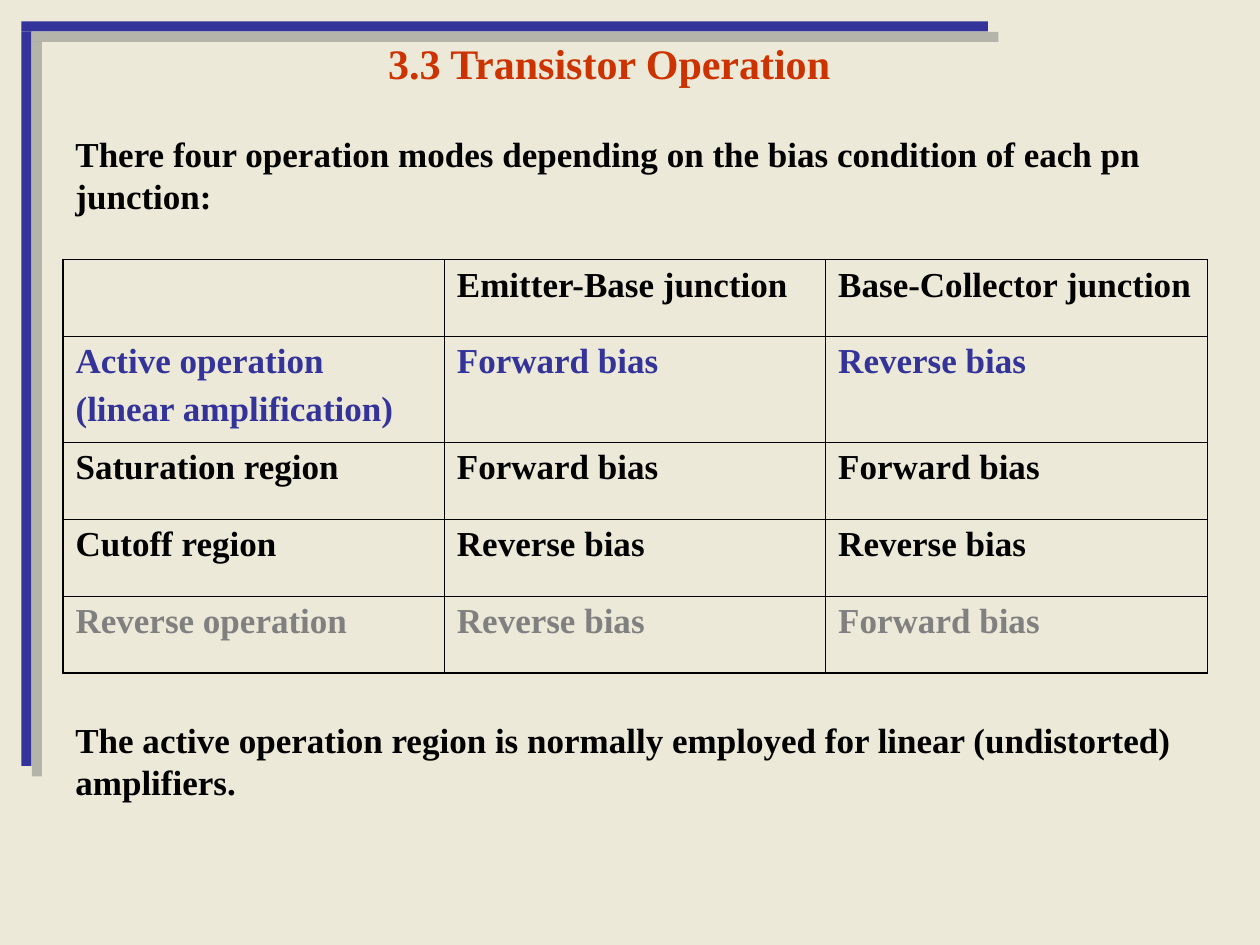
from lxml.etree import SubElement
from pptx import Presentation
from pptx.dml.color import RGBColor
from pptx.enum.shapes import MSO_SHAPE
from pptx.enum.text import MSO_AUTO_SIZE, PP_ALIGN
from pptx.oxml.ns import qn
from pptx.util import Inches, Pt

CREAM = RGBColor(0xEC, 0xE9, 0xD8)
INDIGO = RGBColor(0x33, 0x33, 0x99)
RED = RGBColor(0xCC, 0x33, 0x00)
BLACK = RGBColor(0x00, 0x00, 0x00)
GRAY = RGBColor(0x80, 0x80, 0x80)
FONT = "Times New Roman"
THIN, THICK = Pt(0.45), Pt(1.08)

TITLE = "3.3 Transistor Operation"
INTRO = "There four operation modes depending on the bias condition of each pn junction:"
SUMMARY = "The active operation region is normally employed for linear (undistorted) amplifiers."
MODES = [
    (BLACK, 0.61, ["", "Emitter-Base junction", "Base-Collector junction"]),
    (INDIGO, 0.84, ["Active operation\n(linear amplification)", "Forward bias", "Reverse bias"]),
    (BLACK, 0.61, ["Saturation region", "Forward bias", "Forward bias"]),
    (BLACK, 0.61, ["Cutoff region", "Reverse bias", "Reverse bias"]),
    (GRAY, 0.61, ["Reverse operation", "Reverse bias", "Forward bias"]),
]
FRAME_BARS = [(0.17, 0.17, 7.67, 0.08), (0.17, 0.25, 0.08, 5.83)]


def write(frame, text, size=20, color=BLACK, align=PP_ALIGN.LEFT, leading=None):
    for index, line in enumerate(text.split("\n")):
        paragraph = frame.paragraphs[0] if index == 0 else frame.add_paragraph()
        paragraph.alignment = align
        if index:
            paragraph.space_before = Pt(5)
        if leading:
            paragraph.line_spacing = Pt(size * leading)
        paragraph.font.size = Pt(size)
        if line:
            run = paragraph.add_run()
            run.text = line
            run.font.name = FONT
            run.font.size = Pt(size)
            run.font.bold = True
            run.font.color.rgb = color


def add_text(slide, text, box, **style):
    frame = slide.shapes.add_textbox(*map(Inches, box)).text_frame
    frame.word_wrap = True
    frame.auto_size = MSO_AUTO_SIZE.SHAPE_TO_FIT_TEXT
    write(frame, text, leading=1.2, **style)


def add_frame_bar(slide, box):
    bar = slide.shapes.add_shape(MSO_SHAPE.RECTANGLE, *map(Inches, box))
    bar.fill.solid()
    bar.fill.fore_color.rgb = INDIGO
    bar.line.fill.background()
    bar.shadow.inherit = False
    effects = bar._element.spPr.find(qn("a:effectLst"))
    shadow = SubElement(effects, qn("a:outerShdw"), blurRad="0",
                        dist=str(Pt(8.5)), dir=str(45 * 60000), algn="ctr", rotWithShape="0")
    tint = SubElement(shadow, qn("a:srgbClr"), val=str(GRAY))
    SubElement(tint, qn("a:alpha"), val="50000")


def set_borders(cell, widths):
    properties = cell._tc.get_or_add_tcPr()
    for position, (side, width) in enumerate(widths.items()):
        line = SubElement(properties, qn(f"a:ln{side}"), w=str(width))
        fill = SubElement(line, qn("a:solidFill"))
        SubElement(fill, qn("a:srgbClr"), val=str(BLACK))
        properties.remove(line)
        properties.insert(position, line)


def add_modes_table(slide):
    last = len(MODES) - 1
    height = sum(row_height for _, row_height, _ in MODES)
    table = slide.shapes.add_table(len(MODES), 3, Inches(0.5), Inches(2.06),
                                   Inches(9.08), Inches(height)).table
    table.first_row = table.horz_banding = False
    for row, (color, row_height, labels) in enumerate(MODES):
        table.rows[row].height = Inches(row_height)
        for column, label in enumerate(labels):
            cell = table.cell(row, column)
            cell.fill.background()
            write(cell.text_frame, label, color=color)
            set_borders(cell, {
                "L": THICK if column == 0 else THIN,
                "R": THIN,
                "T": THICK if row == column == 0 else THIN,
                "B": THICK if row == last else THIN,
            })


def main():
    deck = Presentation()
    deck.slide_width, deck.slide_height = Inches(10), Inches(7.5)
    slide = deck.slides.add_slide(deck.slide_layouts[6])
    slide.background.fill.solid()
    slide.background.fill.fore_color.rgb = CREAM
    for box in FRAME_BARS:
        add_frame_bar(slide, box)
    add_text(slide, TITLE, (0, 0.25, 9.67, 0.5), size=24, color=RED, align=PP_ALIGN.CENTER)
    add_text(slide, INTRO, (0.5, 1, 9.08, 0.77))
    add_modes_table(slide)
    add_text(slide, SUMMARY, (0.5, 5.65, 9, 0.77))
    deck.save("out.pptx")


if __name__ == "__main__":
    main()
